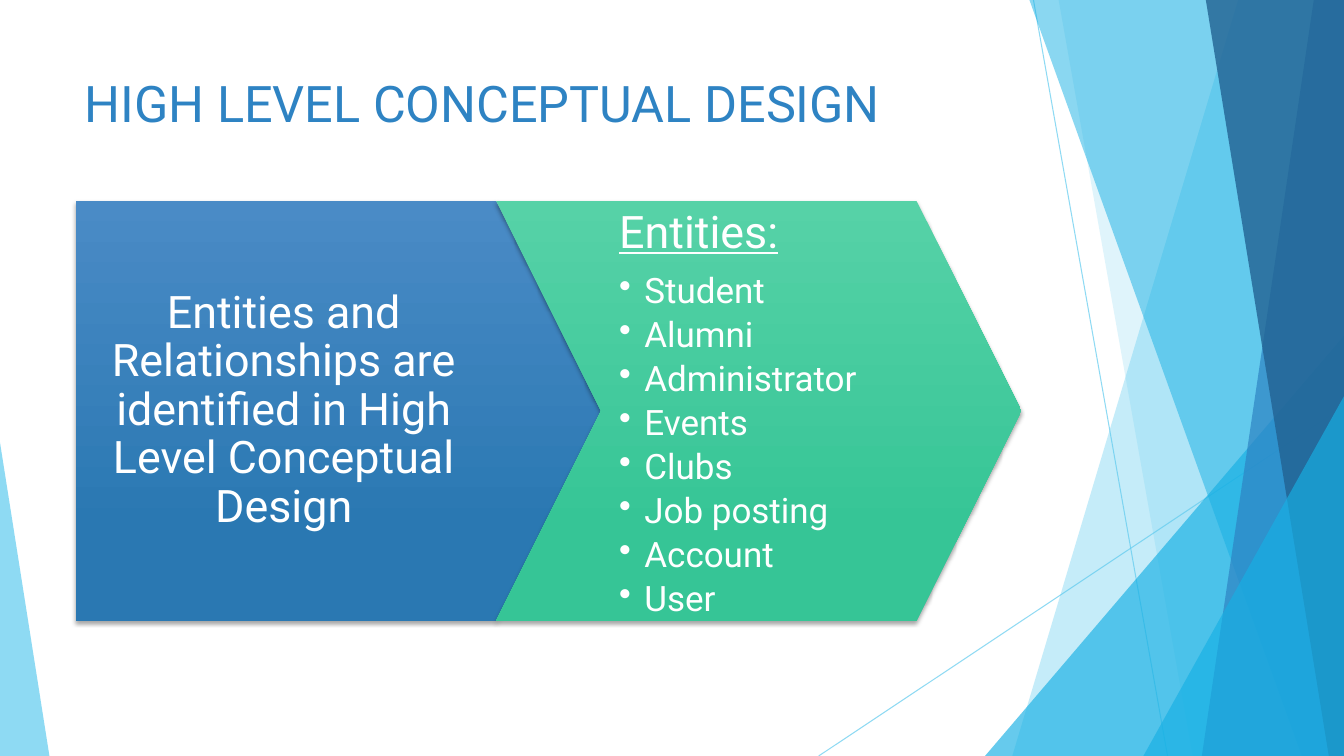
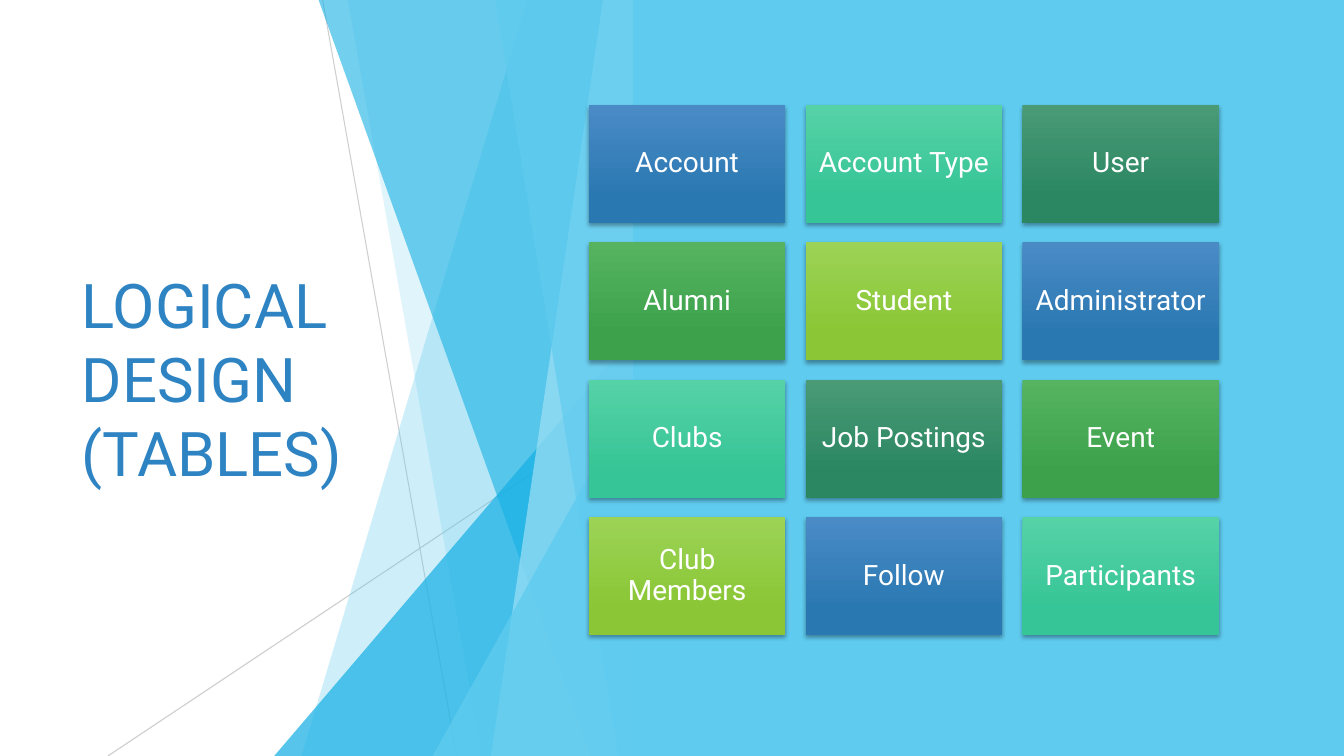
from itertools import cycle

from lxml import etree
from pptx import Presentation
from pptx.dml.color import RGBColor
from pptx.enum.shapes import MSO_CONNECTOR, MSO_SHAPE as SHAPE
from pptx.enum.text import MSO_ANCHOR as ANCHOR, MSO_AUTO_SIZE, PP_ALIGN as ALIGN
from pptx.oxml.ns import qn
from pptx.util import Pt

PX = 9144  # EMU per px, 100 px to the inch
WIDTH, HEIGHT = 1333, 750
FONT = "Roboto"
WHITE, SKY, CYAN, BLUE, NAVY, PALE, GREY = (
    "FFFFFF", "5FCBEF", "17B0E4", "2E83C3", "226292", "9FE0F5", "BFBFBF")

# Gradients of the diagram blocks, top to bottom
BLUES, TEALS = ("4A8BC6", "2A78B2"), ("56D2A7", "36C596")
GRADIENTS = [BLUES, TEALS, ("4A9A76", "2A8762"), ("56B461", "3CA14A"),
             ("9CD356", "8AC635")]

# Facets from back to front, x measured from the right edge of the fan:
# ("band", top x, bottom x) or ("peak", width, height)
FACETS = [("band", -105, -329), ("band", -283, -150), ("peak", 356, 417),
          ("band", -312, -42), ("band", -30, -141), ("band", -137, -15),
          ("peak", 199, 357)]
# Colour and opacity of each facet, then of the two thin lines
COVER_FAN = ([(SKY, 36), (SKY, 20), (CYAN, 66), (CYAN, 50), (BLUE, 70),
              (NAVY, 80), (CYAN, 66)], [(SKY, 70), (SKY, 70)])
PANEL_FAN = ([(SKY, 30), (SKY, 20), (CYAN, 72), (CYAN, 60), (PALE, 70),
              (SKY, 65), (SKY, 80)], [(GREY, 75), (GREY, 80)])

ENTITIES = ["Student", "Alumni", "Administrator", "Events", "Clubs",
            "Job posting", "Account", "User"]
TABLES = ["Account", "Account Type", "User", "Alumni", "Student",
          "Administrator", "Clubs", "Job Postings", "Event", "Club Members",
          "Follow", "Participants"]


def px(*lengths):
    return [round(n * PX) for n in lengths]


def rgb(color):
    return RGBColor.from_string(color)


def set_alpha(sp, percent):
    clr = sp._element.spPr.find(".//" + qn("a:srgbClr"))
    etree.SubElement(clr, qn("a:alpha"), val=str(percent * 1000))


def paint(sp, color, alpha=100):
    sp.shadow.inherit = False
    sp.fill.solid()
    sp.fill.fore_color.rgb = rgb(color)
    sp.line.fill.background()
    if alpha < 100:
        set_alpha(sp, alpha)
    return sp


def add_shape(slide, kind, box, adj=None):
    sp = slide.shapes.add_shape(kind, *px(*box))
    if adj is not None:
        sp.adjustments[0] = adj
    return sp


def add_line(slide, ends, color, alpha):
    line = slide.shapes.add_connector(MSO_CONNECTOR.STRAIGHT, *px(*ends))
    line.line.color.rgb = rgb(color)
    line.line.width = Pt(0.75)
    set_alpha(line, alpha)
    etree.SubElement(line._element.spPr, qn("a:effectLst"))


def add_fan(slide, right, style):
    """Draw the translucent facets that end at the right edge given."""
    fills, lines = style
    ends = [(right - 308, 0, right - 175, HEIGHT),
            (right, 403, right - 521, HEIGHT)]
    for end, (color, alpha) in zip(ends, lines):
        add_line(slide, end, color, alpha)
    for (kind, a, b), (color, alpha) in zip(FACETS, fills):
        if kind == "peak":
            box = (right - a, HEIGHT - b, a, b)
            sp = add_shape(slide, SHAPE.ISOSCELES_TRIANGLE, box, 1)
        else:
            ff = slide.shapes.build_freeform(*px(right + a, 0))
            corners = [(right, 0), (right, HEIGHT), (right + b, HEIGHT)]
            ff.add_line_segments([px(*c) for c in corners])
            sp = ff.convert_to_shape()
        paint(sp, color, alpha)


def style_text(p, size, color=WHITE, align=ALIGN.LEFT):
    p.alignment = align
    for r in p.runs:
        r.font.name, r.font.size = FONT, Pt(size)
        r.font.color.rgb = rgb(color)


def set_title(slide, text, box, size, anchor):
    sp = slide.shapes.title
    sp.left, sp.top, sp.width, sp.height = px(*box)
    slide.shapes._spTree.append(sp._element)  # in front of the fan
    tf = sp.text_frame
    tf.text = text
    tf.word_wrap, tf.auto_size = True, MSO_AUTO_SIZE.NONE
    tf.vertical_anchor = anchor
    style_text(tf.paragraphs[0], size, BLUE)


def add_block(slide, kind, box, colors, insets, adj=None):
    """Add a gradient block with a soft shadow, and return its text frame."""
    sp = paint(add_shape(slide, kind, box, adj), colors[0])
    sp.fill.gradient()
    sp.fill.gradient_angle = 270
    for stop, color, pos in zip(sp.fill.gradient_stops, colors, (0, 0.78)):
        stop.color.rgb, stop.position = rgb(color), pos
    effects = sp._element.spPr.find(qn("a:effectLst"))
    shadow = etree.SubElement(effects, qn("a:outerShdw"), blurRad="38100",
                              dist="25400", dir="5400000", rotWithShape="0")
    black = etree.SubElement(shadow, qn("a:srgbClr"), val="000000")
    etree.SubElement(black, qn("a:alpha"), val="35000")
    tf = sp.text_frame
    tf.word_wrap = True
    tf.margin_left, tf.margin_top, tf.margin_right, tf.margin_bottom = px(*insets)
    return tf


def set_label(tf, text, size):
    tf.text = text
    tf.vertical_anchor = ANCHOR.MIDDLE
    p = tf.paragraphs[0]
    p.line_spacing = 0.9
    style_text(p, size, align=ALIGN.CENTER)


def set_list(tf, heading, items):
    tf.text = "\n".join([heading, *items])
    tf.vertical_anchor = ANCHOR.TOP
    for i, p in enumerate(tf.paragraphs):
        if i:
            pPr = p._p.get_or_add_pPr()
            indent = px(25)[0]
            pPr.set("marL", str(indent))
            pPr.set("indent", str(-indent))
            etree.SubElement(pPr, qn("a:buChar"), char="•")
        p.line_spacing = 0.9
        p.space_after = Pt(4.4 if i else 11.2)
        style_text(p, 25 if i else 32)
    tf.paragraphs[0].runs[0].font.underline = True


def add_arrows(slide, box):
    """Two interlocking arrows: a statement and the list it leads to."""
    x, y, w, h = box
    step = (w - h / 4) / 2  # the points are a quarter of the height deep
    arrow_w = step + h / 4
    tf = add_block(slide, SHAPE.PENTAGON, (x, y, arrow_w, h), BLUES,
                   (18, 9, 74, 9), 0.25)
    set_label(tf, "Entities and Relationships are identified in "
                  "High Level Conceptual Design", 32)
    tf = add_block(slide, SHAPE.CHEVRON, (x + step, y, arrow_w, h), TEALS,
                   (18, 9, 18, 9), 0.25)
    set_list(tf, "Entities:", ENTITIES)


def add_tiles(slide, box, names, cols=3, tile_w=195, tile_h=117):
    x, y, w, h = box
    rows = len(names) // cols
    step_x = (w - tile_w) / (cols - 1)
    step_y = (h - tile_h) / (rows - 1)
    for i, (name, colors) in enumerate(zip(names, cycle(GRADIENTS))):
        row, col = divmod(i, cols)
        tile = (x + col * step_x, y + row * step_y, tile_w, tile_h)
        tf = add_block(slide, SHAPE.RECTANGLE, tile, colors, (8, 8, 8, 8))
        set_label(tf, name, 20)


def conceptual_slide(slide):
    add_fan(slide, WIDTH, COVER_FAN)
    # Wedge at the lower left
    paint(add_shape(slide, SHAPE.ISOSCELES_TRIANGLE, (0, 439, 49, 311), 0),
          SKY, 70)
    set_title(slide, "HIGH LEVEL CONCEPTUAL DESIGN", (74, 67, 940, 144), 36,
              ANCHOR.TOP)
    add_arrows(slide, (75, 199, 938, 417))


def logical_slide(slide):
    panel_x = 628
    add_fan(slide, panel_x, PANEL_FAN)
    set_title(slide, "LOGICAL DESIGN\v(TABLES)", (71, 151, 388, 448), 44,
              ANCHOR.MIDDLE)
    # Plain panel behind the tiles
    paint(add_shape(slide, SHAPE.RECTANGLE,
                    (panel_x, 0, WIDTH - panel_x, HEIGHT)), SKY)
    add_tiles(slide, (584, 104, 625, 526), TABLES)


def main():
    prs = Presentation()
    prs.slide_width, prs.slide_height = px(WIDTH, HEIGHT)
    for build in (conceptual_slide, logical_slide):
        build(prs.slides.add_slide(prs.slide_layouts[5]))
    prs.save("out.pptx")


if __name__ == "__main__":
    main()
